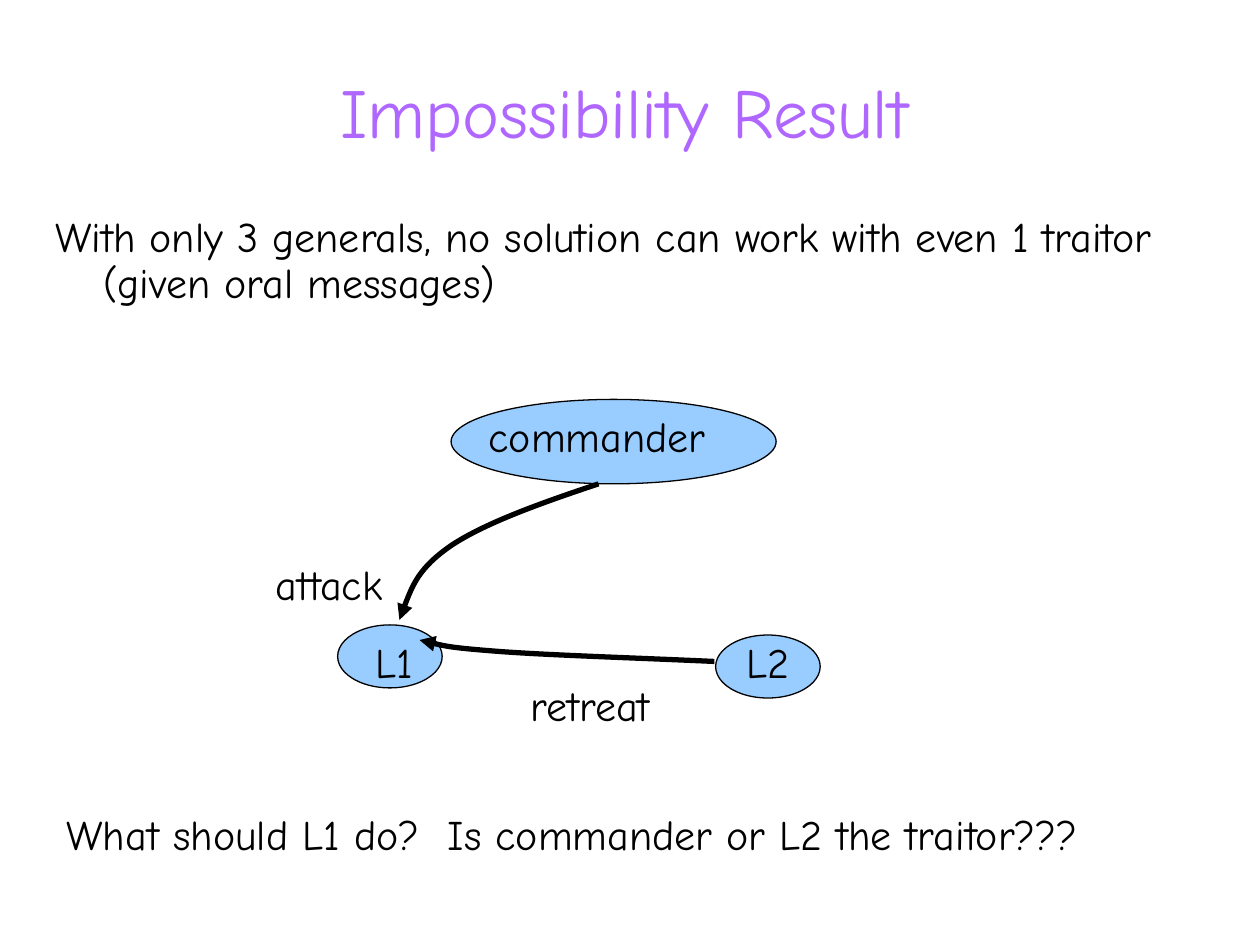
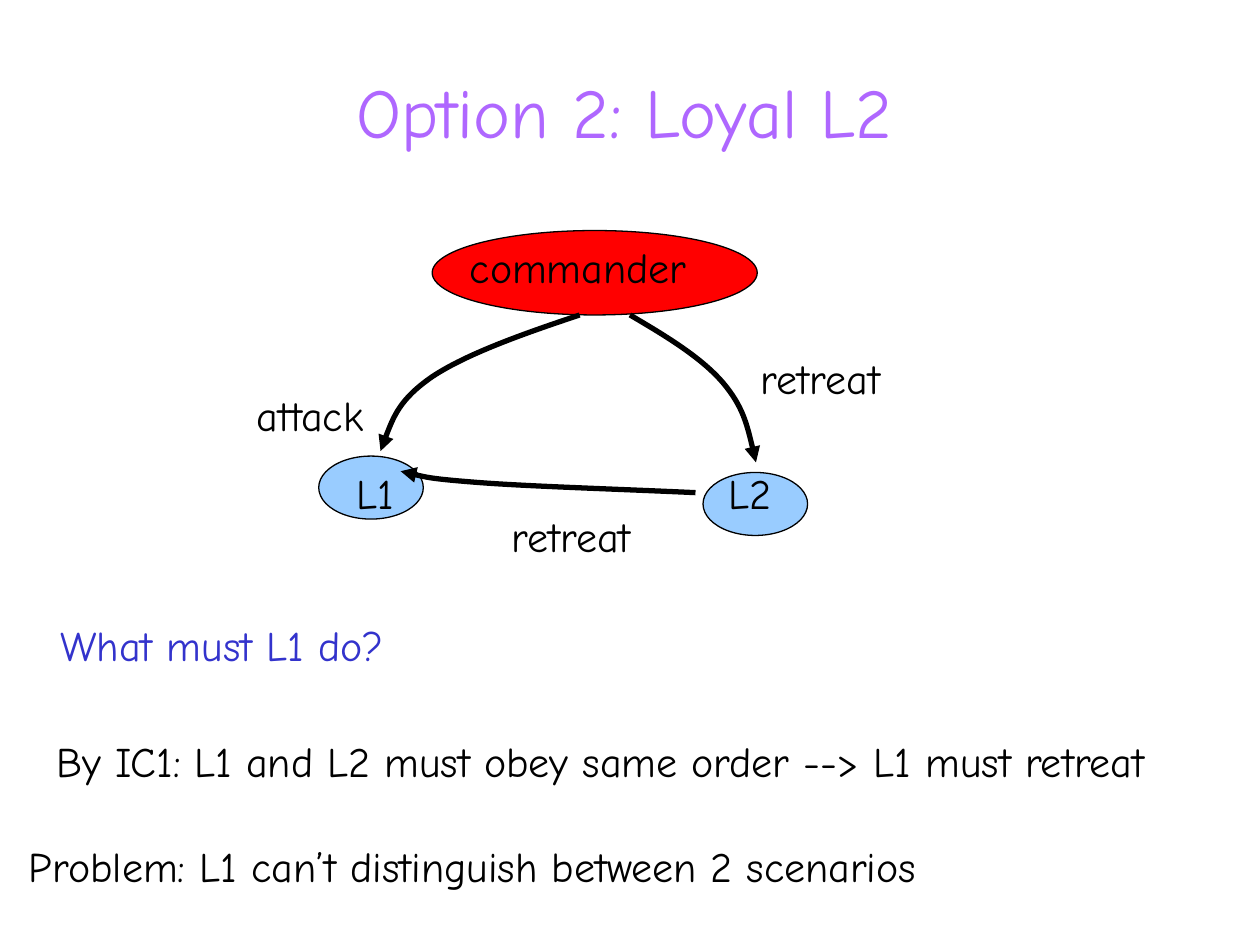
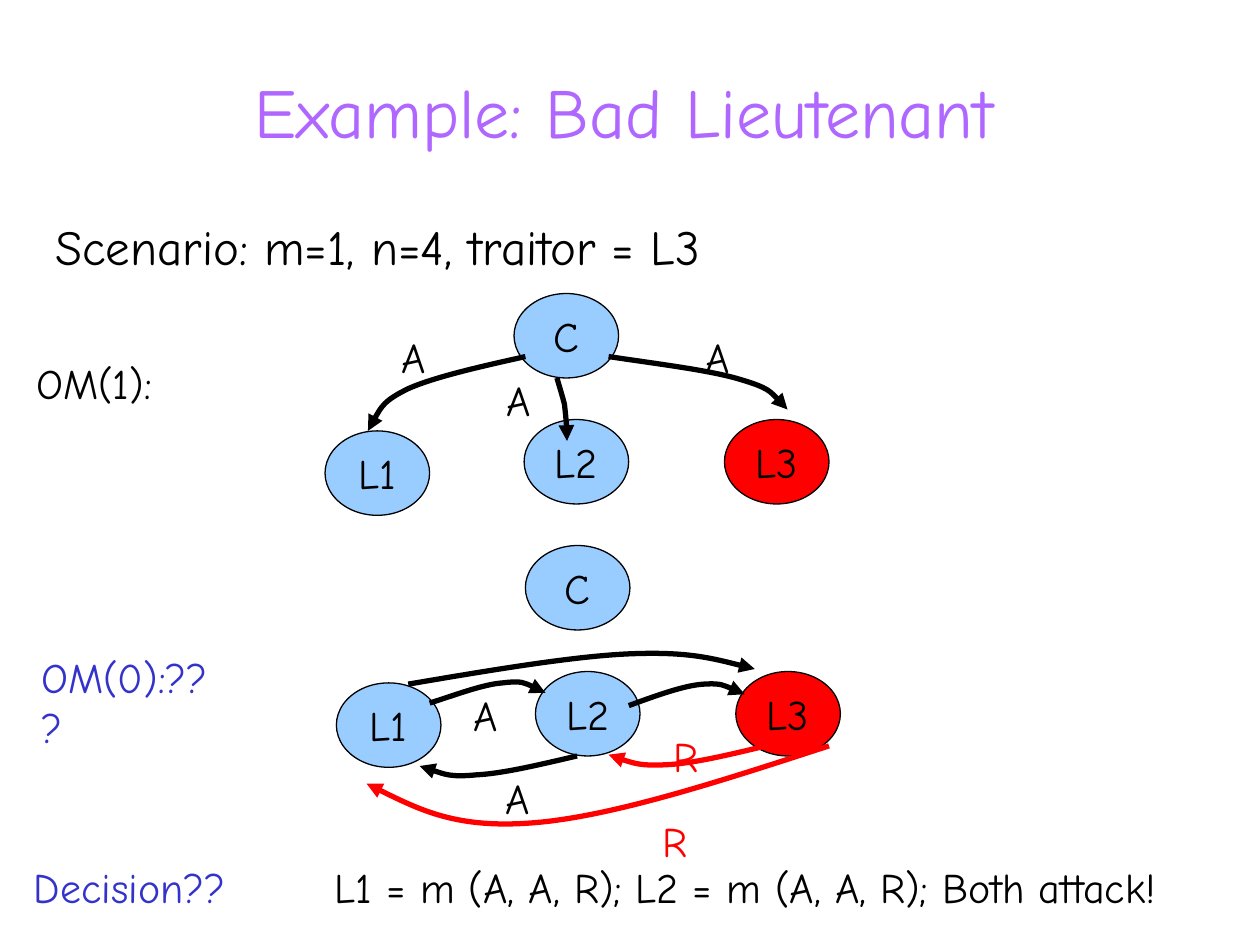
import lxml.etree
import pptx
import pptx.dml.color
import pptx.enum.shapes
import pptx.enum.text
import pptx.oxml.ns
import pptx.util

Inches = pptx.util.Inches
Pt = pptx.util.Pt
qn = pptx.oxml.ns.qn

FONT = "Comic Neue"
COLORS = {
    "title": "AF67FF",
    "ink": "000000",
    "loyal": "99CCFF",
    "traitor": "FF0000",
    "question": "3333CC",
}


def rgb(color):
    """Return the named colour as an RGBColor."""
    return pptx.dml.color.RGBColor.from_string(COLORS[color])


def style(paragraph, size=24, color="ink"):
    """Set the font, size and colour of a paragraph."""
    paragraph.font.name = FONT
    paragraph.font.size = Pt(size)
    paragraph.font.color.rgb = rgb(color)


def add_titled_slide(deck, title):
    """Add a title-only slide with the shared title style."""
    slide = deck.slides.add_slide(deck.slide_layouts[5])
    heading = slide.shapes.title
    heading.left, heading.top = Inches(0.33), Inches(0.34)
    heading.width, heading.height = Inches(9.25), Inches(1.08)
    frame = heading.text_frame
    frame.text = title
    frame.vertical_anchor = pptx.enum.text.MSO_ANCHOR.MIDDLE
    frame.paragraphs[0].alignment = pptx.enum.text.PP_ALIGN.CENTER
    style(frame.paragraphs[0], 40, "title")
    return slide


def add_label(slide, text, left, top, width, height=0.5, size=24, color="ink"):
    """Add a left-aligned text and return its paragraph."""
    label = slide.shapes.add_textbox(Inches(left), Inches(top), Inches(width), Inches(height))
    label.text_frame.word_wrap = True
    label.text_frame.text = text
    paragraph = label.text_frame.paragraphs[0]
    style(paragraph, size, color)
    return paragraph


def add_statement(slide, text, height, size=24):
    """Add the opening statement with its hanging indent."""
    paragraph = add_label(slide, text, 0.34, 1.67, 9.25, height, size)
    properties = paragraph._p.get_or_add_pPr()
    properties.set("marL", str(Inches(0.38)))
    properties.set("indent", str(Inches(-0.38)))
    return paragraph


def add_general(slide, left, top, width=0.83, height=0.67, role="loyal", name=""):
    """Add the ellipse of a general, with a centred name if given."""
    general = slide.shapes.add_shape(
        pptx.enum.shapes.MSO_SHAPE.OVAL, Inches(left), Inches(top), Inches(width), Inches(height)
    )
    general.shadow.inherit = False
    general.fill.solid()
    general.fill.fore_color.rgb = rgb(role)
    general.line.color.rgb = rgb("ink")
    general.line.width = Pt(0.75)
    if name:
        frame = general.text_frame
        frame.word_wrap = False
        frame.text = name
        frame.vertical_anchor = pptx.enum.text.MSO_ANCHOR.MIDDLE
        frame.paragraphs[0].alignment = pptx.enum.text.PP_ALIGN.CENTER
        style(frame.paragraphs[0])


def bend(outline):
    """Turn each three line segments of an outline into one cubic curve."""
    segments = outline.findall(qn("a:lnTo"))
    for first in range(0, len(segments), 3):
        curve = lxml.etree.SubElement(outline, qn("a:cubicBezTo"))
        for segment in segments[first:first + 3]:
            curve.append(segment[0])
            outline.remove(segment)


def add_message(slide, left, top, points, color="ink"):
    """Draw a curved arrow through joined cubic curves."""
    start, *others = [(Inches(left + x), Inches(top + y)) for x, y in points]
    builder = slide.shapes.build_freeform(*start)
    builder.add_line_segments(others, close=False)
    message = builder.convert_to_shape()
    properties = message.element.spPr
    bend(next(properties.iter(qn("a:path"))))
    message.shadow.inherit = False
    message.fill.background()
    message.line.color.rgb = rgb(color)
    message.line.width = Pt(3)
    lxml.etree.SubElement(properties.find(qn("a:ln")), qn("a:tailEnd"), type="triangle")


def add_three_generals(slide, left, top, l2_offset, commander_role="loyal"):
    """Draw the commander, both lieutenants and the messages to L1."""
    l2_x, l2_y = l2_offset
    add_general(slide, left + l2_x, top + l2_y, height=0.5)
    add_general(slide, left + 0.59, top + 1.79, height=0.5)
    add_general(slide, left + 1.49, top, 2.58, role=commander_role)
    for text, x, y, width in (
        ("commander", 1.69, 0.04, 2.11),
        ("attack", 0, 1.21, 1.15),
        ("retreat", 2.02, 2.17, 1.28),
        ("L1", 0.79, 1.83, 0.56),
        ("L2", 3.74, 1.83, 0.56),
    ):
        add_label(slide, text, left + x, top + y, width)
    attack = [(2.66, 0.67), (2.21, 0.82), (1.76, 0.98), (1.49, 1.16),
              (1.23, 1.34), (1.15, 1.55), (1.08, 1.75)]
    retreat = [(3.58, 2.08), (2.91, 2.05), (2.25, 2.03), (1.86, 2),
               (1.47, 1.97), (1.36, 1.94), (1.24, 1.91)]
    for points in (attack, retreat):
        add_message(slide, left, top, points)


def add_four_generals(slide, left, top):
    """Draw the commander above three lieutenants, L3 being the traitor."""
    for name, x, y, role in (
        ("C", 1.5, 0, "loyal"),
        ("L1", 0, 1.09, "loyal"),
        ("L3", 3.17, 1, "traitor"),
        ("L2", 1.58, 1, "loyal"),
    ):
        add_general(slide, left + x, top + y, role=role, name=name)


def add_order_round(slide, left, top):
    """Draw the round in which the commander sends A to everyone."""
    add_four_generals(slide, left, top)
    for points in (
        [(1.59, 0.5), (1.23, 0.58), (0.88, 0.66), (0.67, 0.75),
         (0.46, 0.85), (0.4, 0.97), (0.34, 1.09)],
        [(2.25, 0.5), (2.65, 0.56), (3.06, 0.61), (3.29, 0.68),
         (3.53, 0.75), (3.6, 0.84), (3.67, 0.92)],
        [(1.84, 0.67), (1.86, 0.74), (1.88, 0.8), (1.9, 0.88),
         (1.91, 0.97), (1.92, 1.07), (1.92, 1.17)],
    ):
        add_message(slide, left, top, points)
    for x, y in ((0.51, 0.25), (1.34, 0.59), (2.92, 0.25)):
        add_label(slide, "A", left + x, top + y, 0.41)


def add_exchange_round(slide, left, top):
    """Draw the round in which the lieutenants relay the order."""
    add_four_generals(slide, left, top)
    for color, points in (
        ("ink", [(0.74, 1.25), (0.96, 1.18), (1.17, 1.1), (1.32, 1.09),
                 (1.48, 1.07), (1.57, 1.12), (1.66, 1.17)]),
        ("ink", [(0.57, 1.1), (1.22, 0.99), (1.87, 0.88), (2.32, 0.86),
                 (2.78, 0.84), (3.05, 0.91), (3.32, 0.98)]),
        ("ink", [(1.91, 1.67), (1.61, 1.74), (1.32, 1.81), (1.11, 1.82),
                 (0.9, 1.84), (0.78, 1.79), (0.66, 1.75)]),
        ("ink", [(2.32, 1.27), (2.54, 1.19), (2.76, 1.11), (2.91, 1.1),
                 (3.06, 1.09), (3.15, 1.14), (3.24, 1.18)]),
        ("traitor", [(3.41, 1.59), (3.12, 1.66), (2.83, 1.73), (2.62, 1.74),
                     (2.41, 1.75), (2.29, 1.71), (2.16, 1.66)]),
        ("traitor", [(3.91, 1.59), (3.05, 1.87), (2.19, 2.15), (1.57, 2.2),
                     (0.96, 2.25), (0.6, 2.07), (0.24, 1.89)]),
    ):
        add_message(slide, left, top, points, color)
    for text, x, y, color in (
        ("A", 0.99, 1.09, "ink"),
        ("A", 1.24, 1.75, "ink"),
        ("R", 2.49, 2.09, "traitor"),
        ("R", 2.58, 1.42, "traitor"),
    ):
        add_label(slide, text, left + x, top + y, 0.41, color=color)


def build_impossibility(deck):
    """Build the slide on the impossibility result."""
    slide = add_titled_slide(deck, "Impossibility Result")
    statement = add_statement(
        slide,
        "With only 3 generals, no solution can work with even 1 traitor (given oral messages)",
        1.08,
    )
    statement.line_spacing = 0.9
    add_three_generals(slide, 2.09, 3.17, (3.59, 1.87))
    add_label(slide, "What should L1 do?  Is commander or L2 the traitor???", 0.43, 6.37, 8.69)


def build_loyal_l2(deck):
    """Build the slide on the option with a loyal L2."""
    slide = add_titled_slide(deck, "Option 2: Loyal L2")
    left, top = 1.94, 1.83
    add_three_generals(slide, left, top, (3.64, 1.92), "traitor")
    order_to_l2 = [(3.06, 0.67), (3.35, 0.84), (3.63, 1.01), (3.8, 1.21),
                   (3.96, 1.4), (4.01, 1.62), (4.06, 1.84)]
    add_message(slide, left, top, order_to_l2)
    add_label(slide, "retreat", left + 4, top + 0.92, 1.28)
    add_label(slide, "What must L1 do?", 0.38, 4.87, 3, color="question")
    add_label(slide, "By IC1: L1 and L2 must obey same order --> L1 must retreat", 0.35, 5.79, 9.48)
    add_label(slide, "Problem: L1 can’t distinguish between 2 scenarios", 0.13, 6.62, 7.99)


def build_bad_lieutenant(deck):
    """Build the slide on the bad lieutenant example."""
    slide = add_titled_slide(deck, "Example: Bad Lieutenant")
    add_statement(slide, "Scenario: m=1, n=4, traitor = L3", 5, 28)
    add_order_round(slide, 2.58, 2.33)
    add_label(slide, "OM(1):", 0.19, 2.79, 1.24)
    add_label(slide, "OM(0):???", 0.23, 5.12, 1.65, color="question")
    add_exchange_round(slide, 2.67, 4.33)
    add_label(slide, "Decision??", 0.17, 6.79, 1.82, color="question")
    add_label(slide, "L1 = m (A, A, R); L2 = m (A, A, R); Both attack!", 2.56, 6.79, 7.05)


def main():
    """Build the slides and save the deck."""
    deck = pptx.Presentation()
    deck.slide_width, deck.slide_height = Inches(10), Inches(7.5)
    build_impossibility(deck)
    build_loyal_l2(deck)
    build_bad_lieutenant(deck)
    deck.save("out.pptx")


if __name__ == "__main__":
    main()
